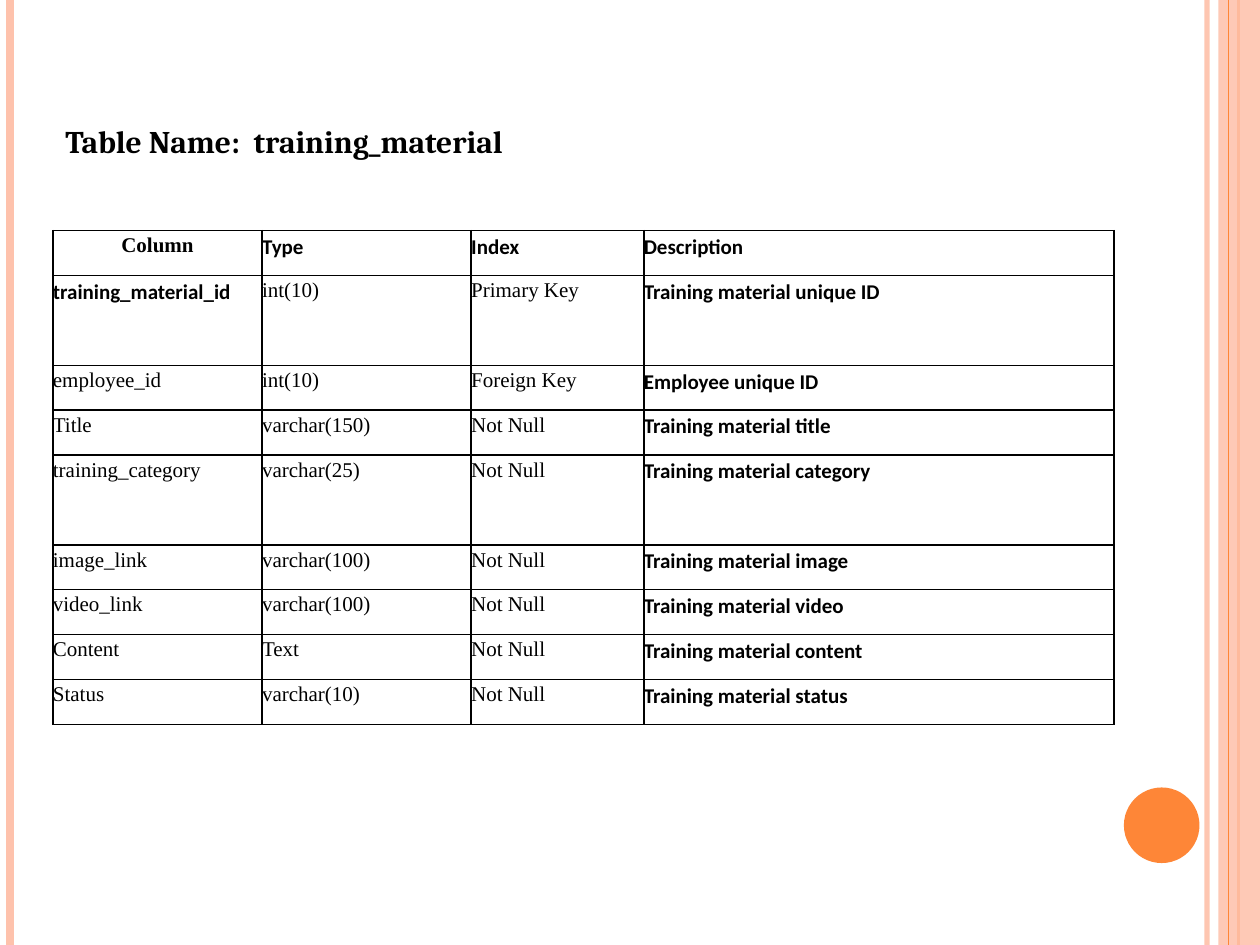
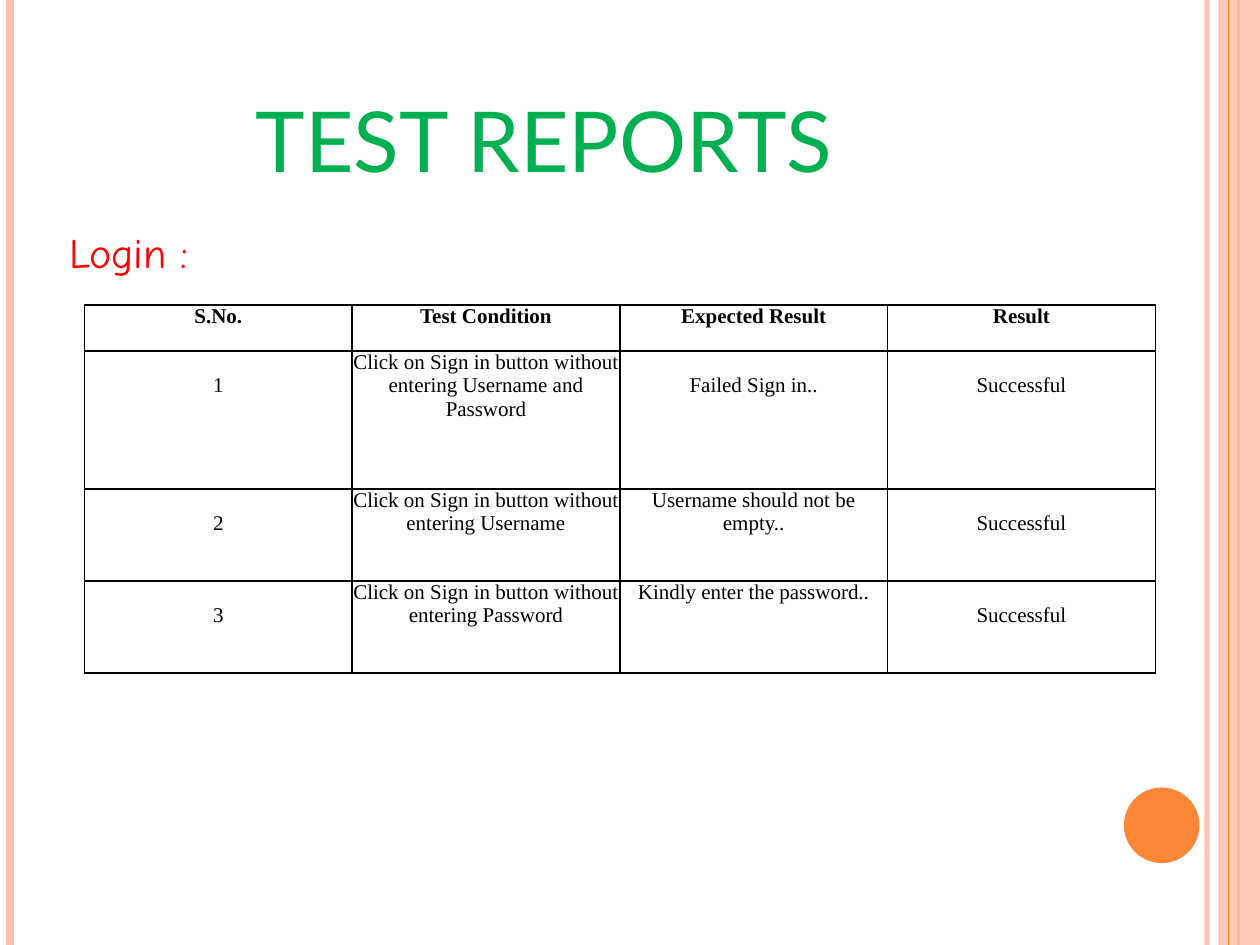
"""Builds two slides: a database table layout and a login test report."""
from lxml import etree
from pptx import Presentation, util as u
from pptx.dml.color import RGBColor
from pptx.enum import shapes as sh, text as tx
from pptx.oxml.ns import qn

THEME = {
    "ink": "000000", "pale": "FEC2AC", "orange": "FE8637",
    "green": "00B050", "red": "FF0000",
    "cell": 12, "name": 18, "sub": 24, "title": 48,
    "serif": "Times New Roman", "sans": "Calibri",
    "head": "Cambria", "big": "Lato", "hand": "Comic Neue",
}
WIDE, HIGH = 10, 7.5
PAD = 0.05
LINE = 0.18

FIELDS = [
    ("Column", "Type", "Index", "Description"),
    ("training_material_id", "int(10)", "Primary Key", "Training material unique ID"),
    ("employee_id", "int(10)", "Foreign Key", "Employee unique ID"),
    ("Title", "varchar(150)", "Not Null", "Training material title"),
    ("training_category", "varchar(25)", "Not Null", "Training material category"),
    ("image_link", "varchar(100)", "Not Null", "Training material image"),
    ("video_link", "varchar(100)", "Not Null", "Training material video"),
    ("Content", "Text", "Not Null", "Training material content"),
    ("Status", "varchar(10)", "Not Null", "Training material status"),
]
TESTS = [
    ("S.No.", "Test Condition", "Expected Result", "Result"),
    ("1", "Click on Sign in button without entering Username and Password",
     "Failed Sign in..", "Successful"),
    ("2", "Click on Sign in button without entering Username",
     "Username should not be empty..", "Successful"),
    ("3", "Click on Sign in button without entering Password",
     "Kindly enter the password..", "Successful"),
]
LOWERED = {(1, 0), (1, 2), (1, 3), (2, 0), (2, 3), (3, 0), (3, 3)}

FIELD_GRID = {"at": (0.42, 1.83, 8.42, 3.92), "cols": (1.66, 1.66, 1.37, 3.73),
              "rows": (1, 2, 1, 1, 2, 1, 1, 1, 1)}
TEST_GRID = {"at": (0.67, 2.42, 8.5, 2.92), "cols": (1, 1, 1, 1),
             "rows": (1, 3, 2, 2)}
RULES = [(9.58, "pale", 3, 93), (0.08, "pale", 4.5, 100), (9.83, "orange", 1.5, 100)]
SEAM = (9.75, "orange", 0.75, 100)


def tint(name):
    return RGBColor.from_string(THEME[name])


def fade(fill, share):
    """Makes a solid fill partly transparent."""
    if share < 100:
        hue = fill._xPr.find(".//" + qn("a:srgbClr"))
        etree.SubElement(hue, qn("a:alpha"), val=str(share * 1000))


def rule(slide, left, name, width, share):
    """Draws a full-height line."""
    x = u.Inches(left)
    line = slide.shapes.add_connector(
        sh.MSO_CONNECTOR.STRAIGHT, x, 0, x, u.Inches(HIGH))
    line.line.color.rgb = tint(name)
    line.line.width = u.Pt(width)
    fade(line.line.fill, share)
    etree.SubElement(line._element.spPr, qn("a:effectLst"))


def block(slide, kind, at, name, share=100):
    """Draws a plain filled shape."""
    item = slide.shapes.add_shape(kind, *map(u.Inches, at))
    item.shadow.inherit = False
    item.fill.solid()
    item.fill.fore_color.rgb = tint(name)
    item.line.fill.background()
    fade(item.fill, share)


def frame(slide):
    """Adds the side bands and the disc."""
    for args in RULES:
        rule(slide, *args)
    block(slide, sh.MSO_SHAPE.RECTANGLE, (9.67, 0, 0.33, HIGH), "pale", 87)
    rule(slide, *SEAM)
    block(slide, sh.MSO_SHAPE.OVAL, (8.92, 6.25, 0.6, 0.6), "orange")


def style(par, size, face, hue="ink", bold=False):
    """Sets the font of a paragraph's text."""
    font = par.runs[0].font
    for key, val in {"size": u.Pt(THEME[size]), "name": THEME[face], "bold": bold}.items():
        setattr(font, key, val)
    font.color.rgb = tint(hue)


def label(slide, at, words, *look, inset=PAD, anchor=tx.MSO_ANCHOR.TOP):
    """Adds one line of text."""
    body = slide.shapes.add_textbox(*map(u.Inches, at)).text_frame
    form = {"word_wrap": True, "vertical_anchor": anchor,
            "margin_left": u.Inches(inset)}
    form |= {"margin_" + side: u.Inches(PAD) for side in ("right", "top", "bottom")}
    for key, val in form.items():
        setattr(body, key, val)
    body.text = words
    style(body.paragraphs[0], *look)


def edge(cell):
    """Rules all four sides of a cell."""
    props = cell._tc.get_or_add_tcPr()
    for spot, side in enumerate(("lnL", "lnR", "lnT", "lnB")):
        line = etree.Element(qn("a:" + side), w=str(u.Pt(1)))
        fill = etree.SubElement(line, qn("a:solidFill"))
        etree.SubElement(fill, qn("a:srgbClr"), val=THEME["ink"])
        props.insert(spot, line)


def table(slide, data, grid, look):
    """Adds a ruled table; look(row, col) gives face, bold, align, spacing, top."""
    at = grid["at"]
    tab = slide.shapes.add_table(len(data), len(data[0]), *map(u.Inches, at)).table
    tab.first_row = tab.horz_banding = False
    for col, part in zip(tab.columns, grid["cols"]):
        col.width = u.Inches(at[2] * part / sum(grid["cols"]))
    for row, part in zip(tab.rows, grid["rows"]):
        row.height = u.Inches(at[3] * part / sum(grid["rows"]))
    for r, line in enumerate(data):
        for c, words in enumerate(line):
            cell = tab.cell(r, c)
            face, bold, align, space, top = look(r, c)
            for side in ("left", "right", "bottom"):
                setattr(cell, "margin_" + side, 0)
            cell.margin_top = u.Inches(top)
            cell.fill.background()
            edge(cell)
            cell.text = words
            par = cell.text_frame.paragraphs[0]
            par.alignment, par.line_spacing = align, space
            style(par, "cell", face, "ink", bold)


def field_look(r, c):
    sans = c == 3 or (r == 0 and c > 0) or (r, c) == (1, 0)
    first = (r, c) == (0, 0)
    align = tx.PP_ALIGN.CENTER if first else tx.PP_ALIGN.LEFT
    return "sans" if sans else "serif", sans or first, align, 1.15, 0


def test_look(r, c):
    top = LINE if (r, c) in LOWERED else 0
    return "serif", r == 0, tx.PP_ALIGN.CENTER, 1.0, top


def main():
    deck = Presentation()
    deck.slide_width, deck.slide_height = u.Inches(WIDE), u.Inches(HIGH)
    blank = deck.slide_layouts[6]

    slide = deck.slides.add_slide(blank)
    frame(slide)
    table(slide, FIELDS, FIELD_GRID, field_look)
    label(slide, (0.47, 0.92, 4.9, 0.41), "Table Name:  training_material",
          "name", "head", "ink", True)

    slide = deck.slides.add_slide(blank)
    frame(slide)
    label(slide, (0.5, 0.3, 8.17, 1.25), "TEST REPORTS", "title", "big", "green",
          inset=1.53, anchor=tx.MSO_ANCHOR.BOTTOM)
    label(slide, (0.5, 1.75, 8.17, 0.67), "Login :", "sub", "hand", "red")
    table(slide, TESTS, TEST_GRID, test_look)

    deck.save("out.pptx")


if __name__ == "__main__":
    main()
